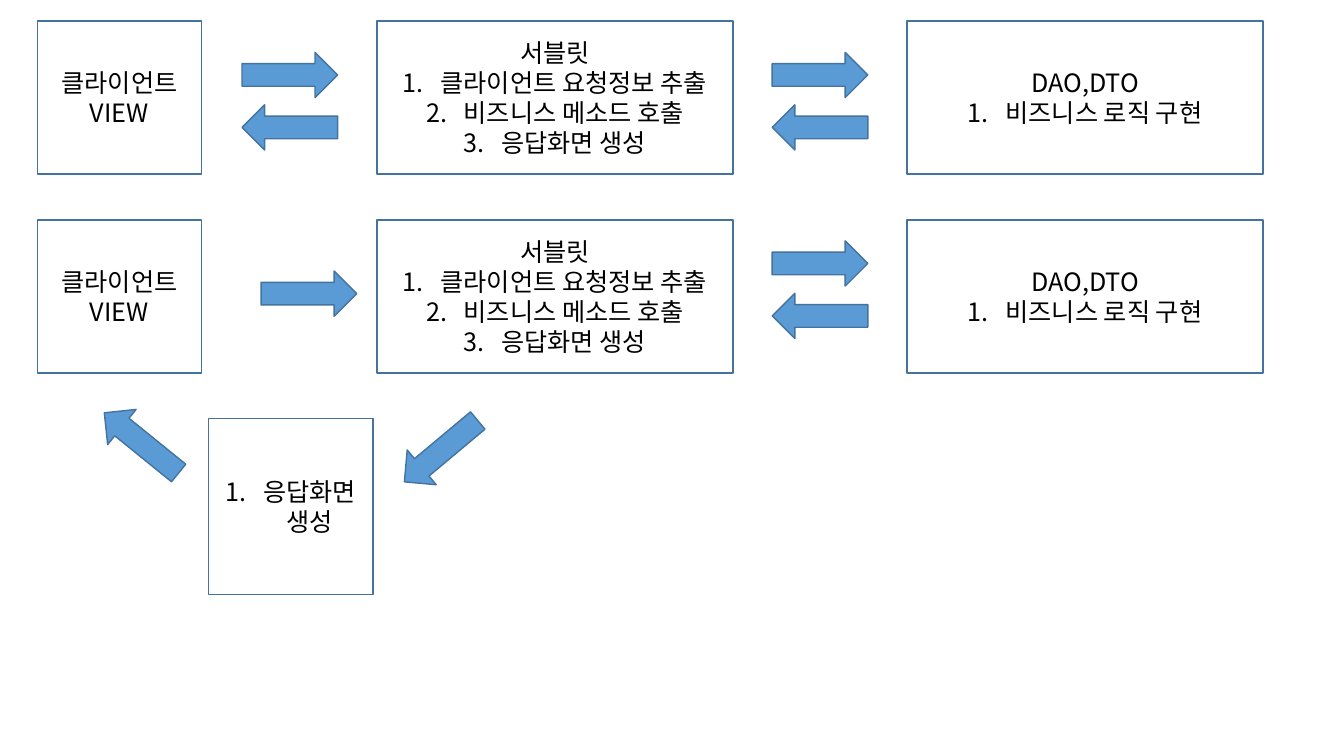
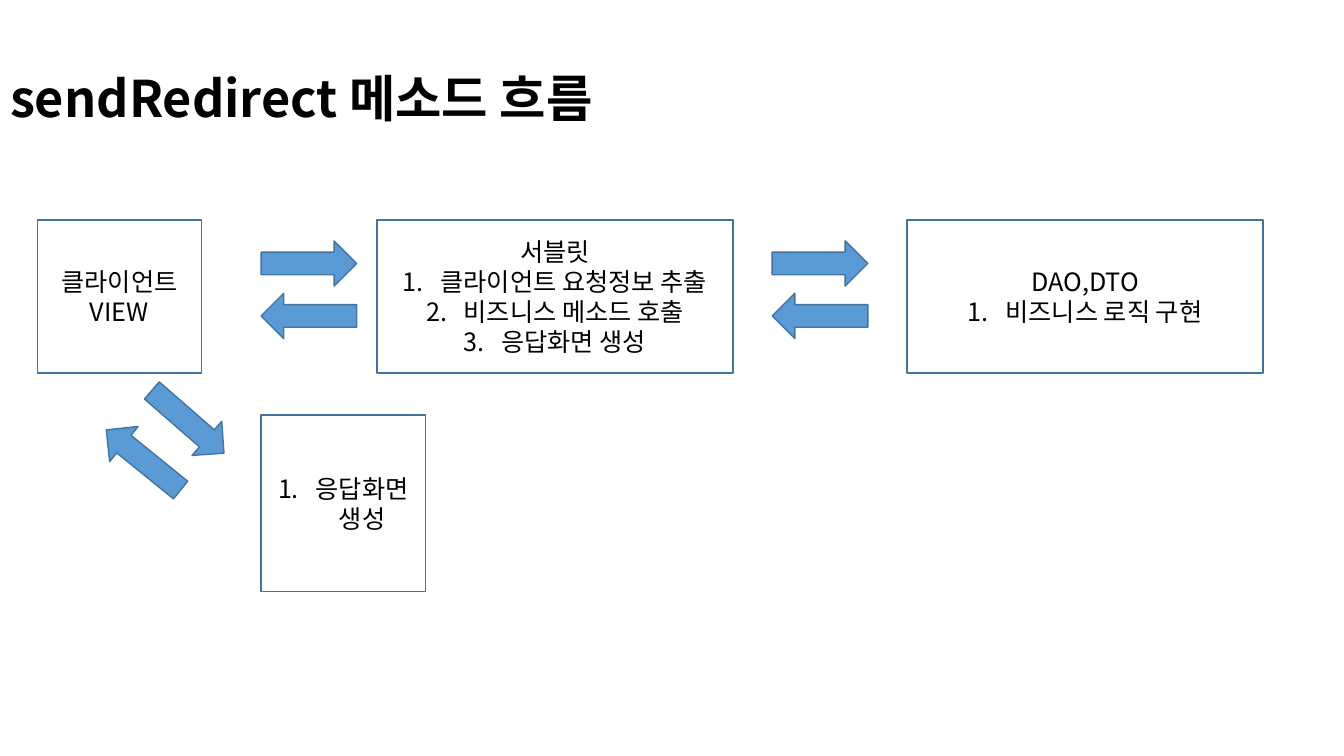
from lxml import etree
from pptx import Presentation
from pptx.dml.color import RGBColor
from pptx.enum.shapes import MSO_SHAPE
from pptx.enum.text import MSO_ANCHOR, MSO_AUTO_SIZE, PP_ALIGN
from pptx.oxml.ns import qn
from pptx.util import Cm, Pt

RECTANGLE = MSO_SHAPE.RECTANGLE
ARROW = MSO_SHAPE.RIGHT_ARROW
MIDDLE = MSO_ANCHOR.MIDDLE
NO_AUTOFIT = MSO_AUTO_SIZE.NONE
CENTER, LEFT = PP_ALIGN.CENTER, PP_ALIGN.LEFT

COLORS = {"text": "000000", "outline": "43739E", "arrow": "5B9BD5"}
FONT = "Noto Sans CJK KR"
BODY_SIZE, TITLE_SIZE, LINE_PITCH = 18, 36, 21.4
TITLE_ONLY, BLANK = 5, 6

# Lengths in centimetres
ROW_HEIGHT = 3.86
CLIENT_WIDTH, STEP_WIDTH = 4.14, 8.97
CLIENT_LEFT, SERVLET_LEFT, DAO_LEFT = 0.94, 9.5, 22.86
TOP_ROW, LOWER_ROW = 0.53, 5.54
REPLY_HEIGHT = 4.45
ARROW_WIDTH, ARROW_HEIGHT, ARROW_STEP = 2.41, 1.14, 1.32
DAO_ARROWS_LEFT = 19.46
NUMBER_INDENT = 0.95

CLIENT_TEXT = ["클라이언트", "VIEW"]
SERVLET_TEXT = ["서블릿"]
SERVLET_STEPS = ["클라이언트 요청정보 추출", "비즈니스 메소드 호출", "응답화면 생성"]
DAO_TEXT = ["DAO,DTO"]
DAO_STEPS = ["비즈니스 로직 구현"]
REPLY_STEPS = ["응답화면 생성"]


def color(name):
    return RGBColor.from_string(COLORS[name])


def format_span(span, size, bold=False):
    span.font.size = Pt(size)
    span.font.bold = bold
    span.font.color.rgb = color("text")
    span.font.name = FONT
    east_asian = etree.SubElement(span.font._element, qn("a:ea"))
    east_asian.set("typeface", FONT)


def number_para(para):
    properties = para._p.get_or_add_pPr()
    properties.set("marL", str(Cm(NUMBER_INDENT)))
    properties.set("indent", str(-Cm(NUMBER_INDENT)))
    numbering = etree.SubElement(properties, qn("a:buAutoNum"))
    numbering.set("type", "arabicPeriod")


def add_outlined(page, kind, left, top, width, height):
    shape = page.shapes.add_shape(kind, Cm(left), Cm(top), Cm(width), Cm(height))
    shape.shadow.inherit = False
    shape.line.color.rgb = color("outline")
    shape.line.width = Pt(1)
    return shape


def add_box(page, left, top, width, height, lines, steps=()):
    """Outlined box with plain lines followed by numbered steps."""
    box = add_outlined(page, RECTANGLE, left, top, width, height)
    box.fill.background()
    frame = box.text_frame
    frame.word_wrap = True
    frame.vertical_anchor = MIDDLE
    frame.text = "\n".join([*lines, *steps])
    for index, para in enumerate(frame.paragraphs):
        para.alignment = CENTER
        para.line_spacing = Pt(LINE_PITCH)
        if index >= len(lines):
            number_para(para)
        for span in para.runs:
            format_span(span, BODY_SIZE)


def add_arrow(page, left, top, rotation=0):
    arrow = add_outlined(page, ARROW, left, top, ARROW_WIDTH, ARROW_HEIGHT)
    arrow.fill.solid()
    arrow.fill.fore_color.rgb = color("arrow")
    arrow.rotation = rotation


def add_arrow_pair(page, left, top):
    """Request arrow above a response arrow."""
    add_arrow(page, left, top)
    add_arrow(page, left, top + ARROW_STEP, 180)


def add_flow_row(page, top, arrow_offset):
    """Client, servlet and DAO boxes, with arrows between the last two."""
    add_box(page, CLIENT_LEFT, top, CLIENT_WIDTH, ROW_HEIGHT, CLIENT_TEXT)
    add_box(page, SERVLET_LEFT, top, STEP_WIDTH, ROW_HEIGHT, SERVLET_TEXT, SERVLET_STEPS)
    add_box(page, DAO_LEFT, top, STEP_WIDTH, ROW_HEIGHT, DAO_TEXT, DAO_STEPS)
    add_arrow_pair(page, DAO_ARROWS_LEFT, top + arrow_offset)


def add_reply_box(page, left, top):
    add_box(page, left, top, CLIENT_WIDTH, REPLY_HEIGHT, [], REPLY_STEPS)


def set_title(page, text):
    title = page.shapes.title
    title.left, title.top, title.width, title.height = Cm(0), Cm(1.55), Cm(15.67), Cm(1.8)
    frame = title.text_frame
    frame.text = text
    frame.word_wrap = False
    frame.auto_size = NO_AUTOFIT
    frame.vertical_anchor = MIDDLE
    para = frame.paragraphs[0]
    para.alignment = LEFT
    format_span(para.runs[0], TITLE_SIZE, bold=True)


def build_forward_page(deck):
    page = deck.slides.add_slide(deck.slide_layouts[BLANK])
    # Direct response
    add_flow_row(page, TOP_ROW, 0.79)
    add_arrow_pair(page, 6.1, TOP_ROW + 0.79)
    # Response through a separate view
    add_flow_row(page, LOWER_ROW, 0.53)
    add_arrow(page, 6.58, LOWER_ROW + 1.29)
    add_reply_box(page, 5.26, 10.54)
    add_arrow(page, 9.91, 10.8, 140.1)
    add_arrow(page, 2.36, 10.59, 219)


def build_redirect_page(deck):
    page = deck.slides.add_slide(deck.slide_layouts[TITLE_ONLY])
    set_title(page, "sendRedirect 메소드 흐름")
    # First request
    add_flow_row(page, LOWER_ROW, 0.53)
    add_arrow_pair(page, 6.58, LOWER_ROW + 0.53)
    # Redirected request
    add_reply_box(page, 6.58, 10.46)
    add_arrow(page, 3.53, 10.06, 41)
    add_arrow(page, 2.41, 11.02, 219)


deck = Presentation()
deck.slide_width, deck.slide_height = Cm(33.87), Cm(19.05)
build_forward_page(deck)
build_redirect_page(deck)
deck.save("out.pptx")
